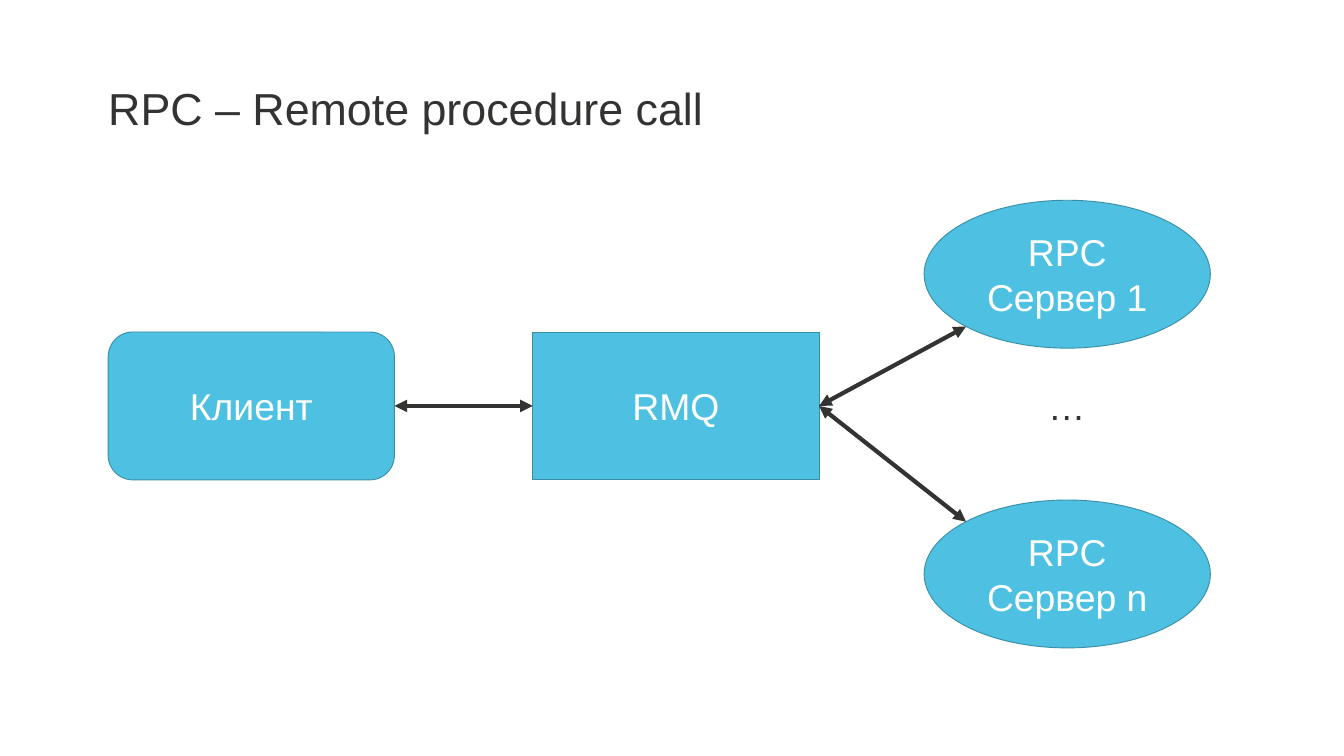
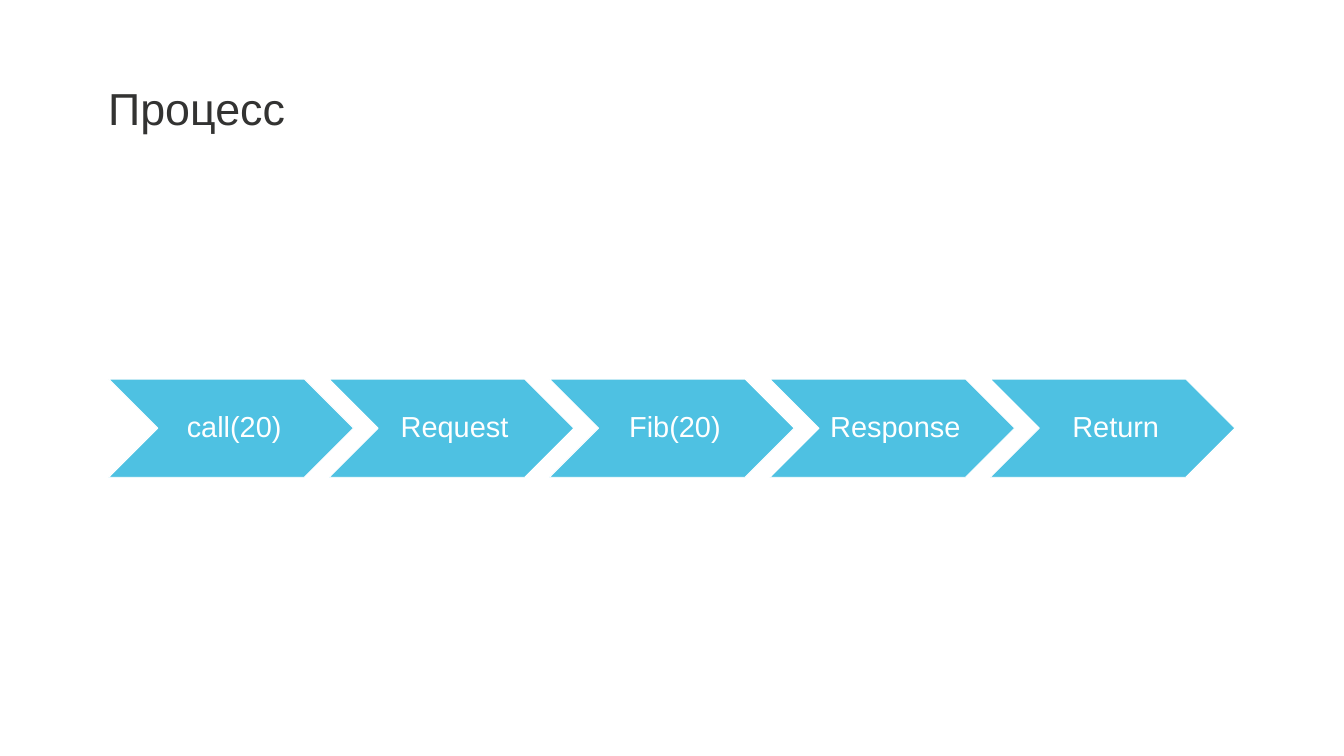
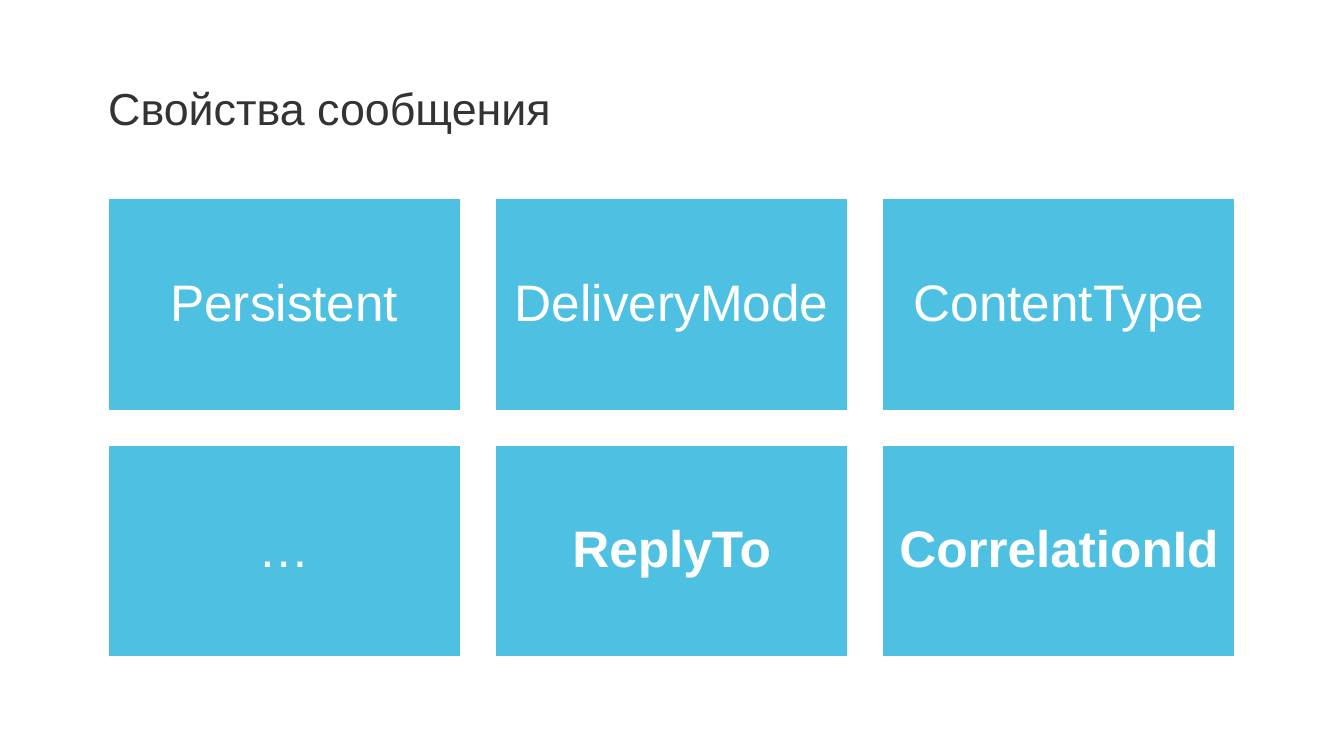
from dataclasses import dataclass

from lxml import etree
from pptx import Presentation
from pptx.dml.color import RGBColor
from pptx.enum.shapes import MSO_CONNECTOR, MSO_SHAPE
from pptx.enum.text import MSO_ANCHOR, MSO_AUTO_SIZE, PP_ALIGN
from pptx.oxml.ns import qn
from pptx.util import Cm, Pt

ROUNDED = MSO_SHAPE.ROUNDED_RECTANGLE
RECTANGLE = MSO_SHAPE.RECTANGLE
ELLIPSE = MSO_SHAPE.OVAL
CHEVRON = MSO_SHAPE.CHEVRON
ELBOW = MSO_CONNECTOR.ELBOW
STRAIGHT = MSO_CONNECTOR.STRAIGHT
LEFT = PP_ALIGN.LEFT
CENTER = PP_ALIGN.CENTER
TOP = MSO_ANCHOR.TOP
MIDDLE = MSO_ANCHOR.MIDDLE
GROW = MSO_AUTO_SIZE.SHAPE_TO_FIT_TEXT

COLORS = {"text": "333332", "fill": "4EC1E2", "edge": "3A8FA7", "white": "FFFFFF"}
FONT = "Arial"
MARGIN_LEFT = 4.09
LEFT_SIDE, RIGHT_SIDE = 1, 3
DIAGONAL = 0.5 ** 0.5


@dataclass(frozen=True)
class TextStyle:
    size: int
    color: str = "white"
    align: PP_ALIGN = CENTER
    anchor: MSO_ANCHOR = MIDDLE
    spacing: float = 1.0
    insets: tuple[float, float, float, float] = (0.25, 0.13, 0.25, 0.13)


@dataclass(frozen=True)
class Block:
    text: str
    kind: MSO_SHAPE
    left: float
    top: float
    width: float
    height: float
    style: TextStyle
    edge: str = "white"
    bold: bool = False


TITLE = TextStyle(48, "text", LEFT, TOP, 0.96, (0, 0, 0, 0))
NODE = TextStyle(40)
DOTS = TextStyle(40, "text", LEFT, TOP)
STEP = TextStyle(31, spacing=0.9, insets=(0.36, 0.13, 0.13, 0.13))
TILE = TextStyle(55, spacing=0.9, insets=(0.58, 0.58, 0.58, 0.58))


def color(name: str) -> RGBColor:
    return RGBColor.from_string(COLORS[name])


def write(box, text: str, style: TextStyle, bold: bool = False) -> None:
    frame = box.text_frame
    frame.word_wrap = True
    frame.vertical_anchor = style.anchor
    (frame.margin_left, frame.margin_top,
     frame.margin_right, frame.margin_bottom) = map(Cm, style.insets)
    para = frame.paragraphs[0]
    para.alignment = style.align
    para.line_spacing = style.spacing
    span = para.add_run()
    span.text = text
    span.font.name = FONT
    span.font.size = Pt(style.size)
    span.font.bold = bold
    span.font.color.rgb = color(style.color)


def add_page(deck, title: str):
    page = deck.slides.add_slide(deck.slide_layouts[6])
    box = page.shapes.add_textbox(Cm(MARGIN_LEFT), Cm(3.18), Cm(32.92), Cm(2.36))
    write(box, title, TITLE)
    return page


def add_block(page, block: Block):
    shape = page.shapes.add_shape(block.kind, Cm(block.left), Cm(block.top),
                                  Cm(block.width), Cm(block.height))
    shape.shadow.inherit = False
    shape.fill.solid()
    shape.fill.fore_color.rgb = color("fill")
    shape.line.color.rgb = color(block.edge)
    shape.line.width = Pt(1)
    write(shape, block.text, block.style, block.bold)
    return shape


def add_arrow(page, kind: MSO_CONNECTOR, source, end_x: int, end_y: int):
    arrow = page.shapes.add_connector(kind, source.left + source.width,
                                      source.top + source.height // 2, end_x, end_y)
    arrow.begin_connect(source, RIGHT_SIDE)
    arrow.line.color.rgb = color("text")
    arrow.line.width = Pt(4.5)
    properties = arrow.element.spPr
    outline = properties.find(qn("a:ln"))
    for end in ("a:headEnd", "a:tailEnd"):
        etree.SubElement(outline, qn(end), type="triangle")
    etree.SubElement(properties, qn("a:effectLst"))
    return arrow


def build_rpc(deck) -> None:
    page = add_page(deck, "RPC – Remote procedure call")
    width, height, middle_top, server_left = 10.82, 5.59, 12.55, 34.93
    client, broker, first, last = [
        add_block(page, Block(text, kind, left, top, width, height, NODE, "edge"))
        for text, kind, left, top in (
            ("Клиент", ROUNDED, MARGIN_LEFT, middle_top),
            ("RMQ", RECTANGLE, 20.14, middle_top),
            ("RPC Сервер 1", ELLIPSE, server_left, 7.57),
            ("RPC Сервер n", ELLIPSE, server_left, 18.9),
        )
    ]
    dots = page.shapes.add_textbox(Cm(39.37), Cm(14.35), Cm(1.91), Cm(1.96))
    write(dots, "…", DOTS)
    dots.text_frame.word_wrap = False
    dots.text_frame.auto_size = GROW

    link = add_arrow(page, ELBOW, client, broker.left, broker.top + broker.height // 2)
    link.end_connect(broker, LEFT_SIDE)
    for server, side in ((first, 1), (last, -1)):
        end_x = server.left + server.width / 2 * (1 - DIAGONAL)
        end_y = server.top + server.height / 2 * (1 + side * DIAGONAL)
        add_arrow(page, STRAIGHT, broker, round(end_x), round(end_y))


def build_process(deck) -> None:
    page = add_page(deck, "Процесс")
    pitch = 8.33
    for index, text in enumerate(("call(20)", "Request", "Fib(20)", "Response", "Return")):
        add_block(page, Block(text, CHEVRON, 4.11 + index * pitch, 14.33, 9.25, 3.71, STEP))


def build_properties(deck) -> None:
    page = add_page(deck, "Свойства сообщения")
    columns, width, height, gap = 3, 13.31, 7.98, 1.33
    names = ("Persistent", "DeliveryMode", "ContentType", "…", "ReplyTo", "CorrelationId")
    for index, name in enumerate(names):
        row, column = divmod(index, columns)
        add_block(page, Block(name, RECTANGLE, MARGIN_LEFT + column * (width + gap),
                              7.52 + row * (height + gap), width, height, TILE,
                              bold=name in ("ReplyTo", "CorrelationId")))


def main() -> None:
    deck = Presentation()
    deck.slide_width, deck.slide_height = Cm(50.8), Cm(28.575)
    build_rpc(deck)
    build_process(deck)
    build_properties(deck)
    deck.save("out.pptx")


if __name__ == "__main__":
    main()
